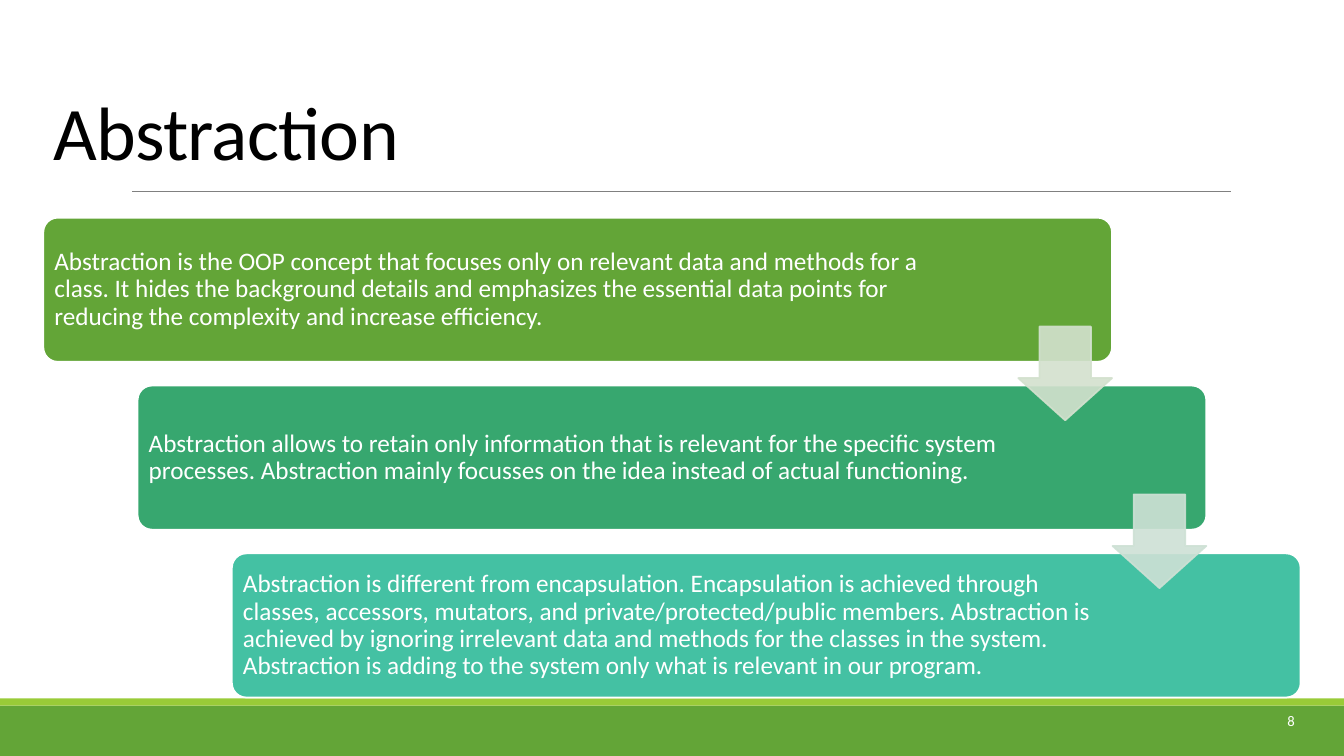
from lxml import etree
from pptx import Presentation
from pptx import util as u
from pptx.dml.color import RGBColor
from pptx.enum import shapes, text
from pptx.oxml.ns import qn

FONT = "Calibri"
STEPS = [
    ("63A537", 9.06,
     "Abstraction is the OOP concept that focuses only on relevant data and methods "
     "for a class. It hides the background details and emphasizes the essential data "
     "points for reducing the complexity and increase efficiency."),
    ("37A76F", 8.66,
     "Abstraction allows to retain only information that is relevant for the specific "
     "system processes. Abstraction mainly focusses on the idea instead of actual "
     "functioning."),
    ("44C1A3", 8.66,
     "Abstraction is different from encapsulation. Encapsulation is achieved through "
     "classes, accessors, mutators, and private/protected/public members. Abstraction "
     "is achieved by ignoring irrelevant data and methods for the classes in the "
     "system. Abstraction is adding to the system only what is relevant in our "
     "program."),
]
ARROW_COLORS = ["D3E1CE", "CEE1D5"]


def color(hex_string):
    return RGBColor.from_string(hex_string)


def inches(box):
    return [u.Inches(length) for length in box]


def write(shape, words, size, font_color, anchor=text.MSO_ANCHOR.MIDDLE,
          align=text.PP_ALIGN.LEFT, line_spacing=1.0, space_after=0,
          margins=(0.1, 0.05, 0.1, 0.05), tracking=0):
    """Fill the shape with one formatted paragraph; tracking is in points."""
    frame = shape.text_frame
    frame.word_wrap = True
    frame.auto_size = text.MSO_AUTO_SIZE.NONE
    frame.vertical_anchor = anchor
    (frame.margin_left, frame.margin_top,
     frame.margin_right, frame.margin_bottom) = inches(margins)
    paragraph = frame.paragraphs[0]
    paragraph.alignment = align
    paragraph.line_spacing = line_spacing
    paragraph.space_before = u.Pt(0)
    paragraph.space_after = u.Pt(space_after)
    run = paragraph.add_run()
    run.text = words
    run.font.name = FONT
    run.font.size = u.Pt(size)
    run.font.color.rgb = color(font_color)
    if tracking:
        run.font._element.set("spc", str(int(tracking * 100)))


def add_block(slide, kind, box, fill, line=None, adjustments=()):
    shape = slide.shapes.add_shape(kind, *inches(box))
    shape.shadow.inherit = False
    shape.fill.solid()
    shape.fill.fore_color.rgb = color(fill)
    if line:
        shape.line.color.rgb = color(line)
        shape.line.width = u.Pt(1.25)
    else:
        shape.line.fill.background()
    for index, value in enumerate(adjustments):
        shape.adjustments[index] = value
    return shape


def set_opacity(shape, percent):
    """Apply the opacity to both fill and outline."""
    for solid in shape._element.spPr.iter(qn("a:solidFill")):
        etree.SubElement(solid[0], qn("a:alpha"), val=str(percent * 1000))


def add_title(slide, box):
    title = slide.shapes.title
    title.left, title.top, title.width, title.height = inches(box)
    write(title, "Abstraction", 54, "000000", anchor=text.MSO_ANCHOR.BOTTOM,
          line_spacing=0.85, tracking=-0.5)


def add_rule(slide, left, right, top):
    rule = slide.shapes.add_connector(
        shapes.MSO_CONNECTOR.STRAIGHT, *inches((left, top, right, top)))
    rule.line.color.rgb = color("808080")
    rule.line.width = u.Pt(0.5)
    etree.SubElement(rule._element.spPr, qn("a:effectLst"))


def add_footer(slide, left, top, width, height):
    stripe = 0.07
    rectangle = shapes.MSO_SHAPE.RECTANGLE
    add_block(slide, rectangle, (left, top + stripe, width, height - stripe), "63A537")
    add_block(slide, rectangle, (left, top, width, stripe), "99CB38")


def add_page_number(slide, box):
    number = slide.shapes.add_textbox(*inches(box))
    write(number, "8", 10.5, "FFFFFF", align=text.PP_ALIGN.RIGHT, space_after=6)


def add_staircase(slide, left, top, width, height):
    """Place the steps diagonally, with an arrow from each one to the next."""
    step_width, step_height, inset, arrow_size = 10.6, 1.43, 0.04, 0.93
    shift = (width - step_width) / (len(STEPS) - 1)
    drop = (height - step_height) / (len(STEPS) - 1)

    for index, (fill, text_width, words) in enumerate(STEPS):
        x, y = left + index * shift, top + index * drop
        add_block(slide, shapes.MSO_SHAPE.ROUNDED_RECTANGLE,
                  (x, y, step_width, step_height), fill, "FFFFFF", [0.1])
        label = slide.shapes.add_textbox(
            *inches((x + inset, y + inset, text_width, step_height - 2 * inset)))
        write(label, words, 18, "FFFFFF", line_spacing=0.9, space_after=6.3,
              margins=[0.07] * 4)

    for index, fill in enumerate(ARROW_COLORS):
        x = left + index * shift + step_width - arrow_size
        y = top + index * drop + 1.08
        arrow = add_block(slide, shapes.MSO_SHAPE.DOWN_ARROW,
                          (x, y, arrow_size, arrow_size), fill, fill)
        # The first adjustment is the shaft width, the second the head length.
        arrow.adjustments[0], arrow.adjustments[1] = 0.55, 0.45
        set_opacity(arrow, 90)


def main():
    presentation = Presentation()
    presentation.slide_width = u.Inches(13.33)
    presentation.slide_height = u.Inches(7.5)
    slide = presentation.slides.add_slide(presentation.slide_layouts[5])
    add_footer(slide, 0, 6.93, 13.33, 0.57)
    add_rule(slide, 1.31, 12.21, 1.9)
    add_title(slide, (0.43, 0.35, 12.48, 1.45))
    add_staircase(slide, 0.43, 2.16, 12.47, 4.76)
    add_page_number(slide, (9.94, 6.95, 3, 0.4))
    presentation.save("out.pptx")


if __name__ == "__main__":
    main()
